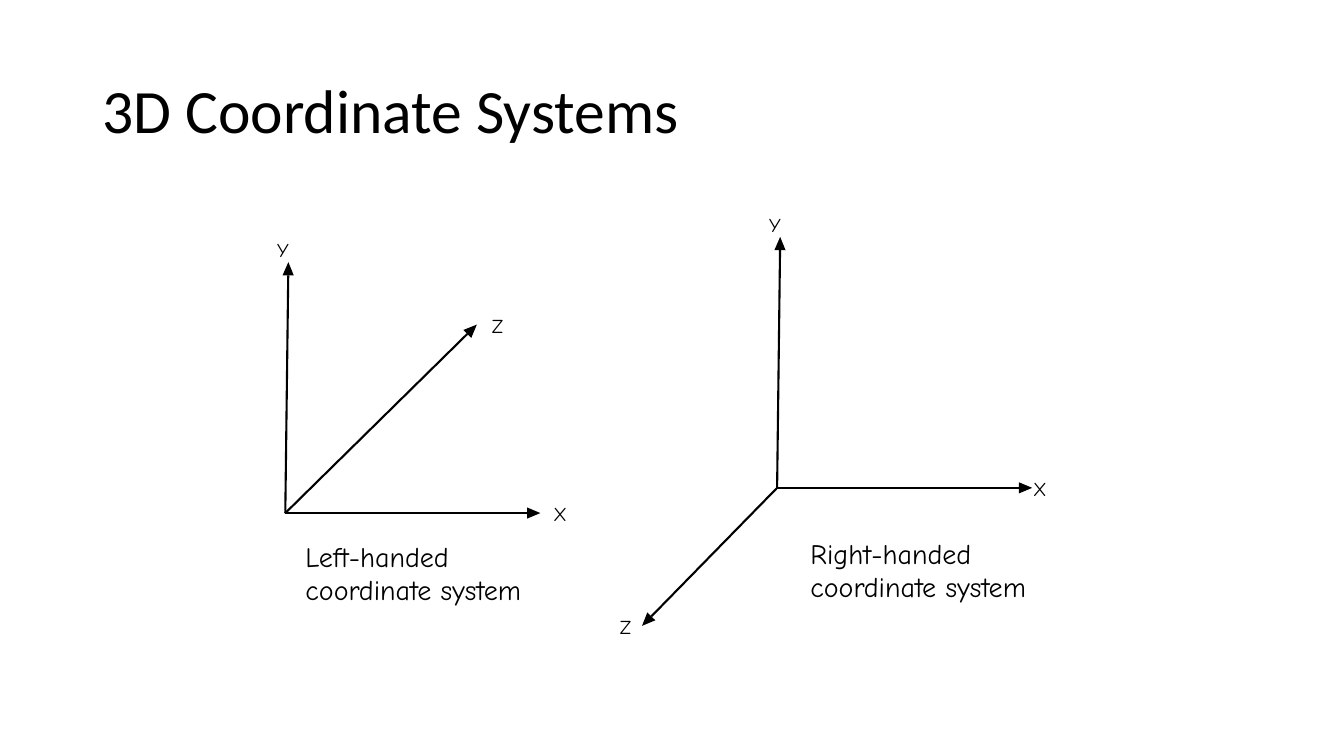
from math import hypot

from lxml.etree import SubElement
from pptx import Presentation
from pptx.dml.color import RGBColor
from pptx.enum.shapes import MSO_CONNECTOR as CONN
from pptx.enum.text import MSO_ANCHOR as ANCHOR, MSO_AUTO_SIZE as FIT, PP_ALIGN as ALIGN
from pptx.oxml.ns import qn
from pptx.util import Pt

TITLE = "3D Coordinate Systems"
BLACK = "000000"
HEAD_LENGTH, HEAD_WIDTH = 9.5, 8
LINE_WIDTH = 1.5

# Arrow tips are offsets from the origin; labels and captions are slide positions.
SYSTEMS = [
    {
        "origin": (203.8, 366.5),
        "axes": [
            ("Z", (136.8, -134.6), (351.4, 223.9)),
            ("Y", (2.2, -179.3), (198, 169.9)),
            ("X", (182.2, 0), (395.3, 358.6)),
        ],
        "caption": (["Left-handed", "coordinate system"], (218.2, 385.2)),
    },
    {
        "origin": (555.1, 348.5),
        "axes": [
            ("Y", (2.2, -179.3), (549.4, 151.9)),
            ("X", (182.2, 0), (738, 340.6)),
            ("Z", (-96.5, 98.6), (442.8, 439.2)),
        ],
        "caption": (["Right-handed", "coordinate system"], (578.9, 383)),
    },
]


def rgb(color):
    return RGBColor.from_string(color)


def write(tf, lines, size, font="Comic Neue", color=BLACK, spacing=None):
    for i, line in enumerate(lines):
        p = tf.paragraphs[0] if i == 0 else tf.add_paragraph()
        p.alignment = ALIGN.LEFT
        p.line_spacing = spacing
        r = p.add_run()
        r.text = line
        r.font.size, r.font.name = Pt(size), font
        r.font.color.rgb = rgb(color)


def add_text(slide, lines, at, width, height, size):
    sp = slide.shapes.add_textbox(Pt(at[0]), Pt(at[1]), Pt(width), Pt(height))
    tf = sp.text_frame
    tf.margin_left = tf.margin_top = tf.margin_right = tf.margin_bottom = 0
    tf.word_wrap = False
    tf.auto_size = FIT.SHAPE_TO_FIT_TEXT
    write(tf, lines, size)


def add_axis(slide, origin, offset):
    """Draw a line from the origin with a solid triangular head at its tip."""
    (x, y), (dx, dy) = origin, offset
    length = hypot(dx, dy)
    ux, uy = dx / length, dy / length
    tip = x + dx, y + dy
    base = tip[0] - HEAD_LENGTH * ux, tip[1] - HEAD_LENGTH * uy
    half = HEAD_WIDTH / 2
    corners = [(base[0] - side * uy, base[1] + side * ux) for side in (half, -half)]

    line = slide.shapes.add_connector(CONN.STRAIGHT, *map(Pt, (x, y, *base)))
    line.line.color.rgb = rgb(BLACK)
    line.line.width = Pt(LINE_WIDTH)
    SubElement(line._element.spPr, qn("a:effectLst"))

    outline = slide.shapes.build_freeform(Pt(tip[0]), Pt(tip[1]))
    outline.add_line_segments([(Pt(cx), Pt(cy)) for cx, cy in corners], close=True)
    head = outline.convert_to_shape()
    head.shadow.inherit = False
    head.fill.solid()
    head.fill.fore_color.rgb = rgb(BLACK)
    head.line.fill.background()


def main():
    prs = Presentation()
    prs.slide_width, prs.slide_height = Pt(960), Pt(540)
    slide = prs.slides.add_slide(prs.slide_layouts[5])

    title = slide.shapes.title
    title.left, title.top, title.width, title.height = map(Pt, (66, 28.8, 828, 104.4))
    title.text_frame.vertical_anchor = ANCHOR.MIDDLE
    write(title.text_frame, [TITLE], 44, font="Calibri", spacing=0.9)

    for system in SYSTEMS:
        for name, offset, label_at in system["axes"]:
            add_axis(slide, system["origin"], offset)
            add_text(slide, [name], label_at, 10, 17, 14)
        lines, at = system["caption"]
        add_text(slide, lines, at, 175, 48.5, 20)

    prs.save("out.pptx")


if __name__ == "__main__":
    main()
